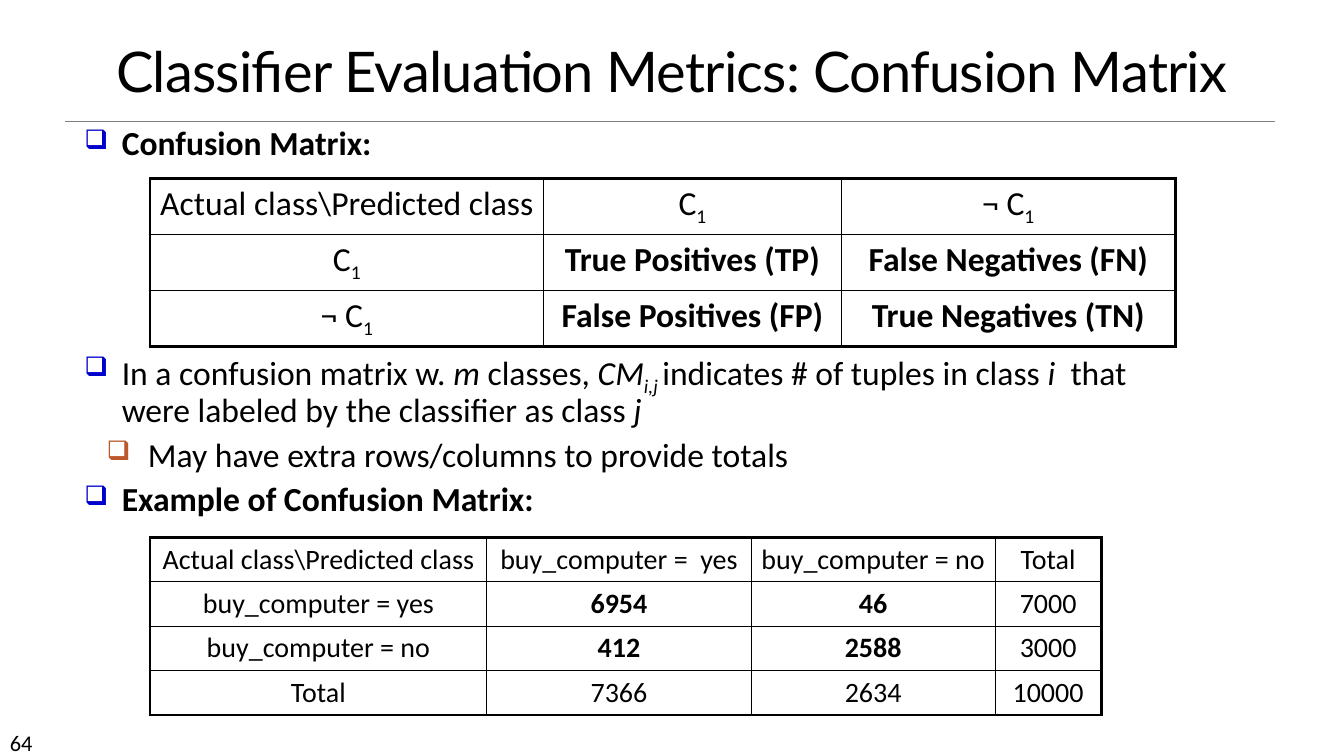
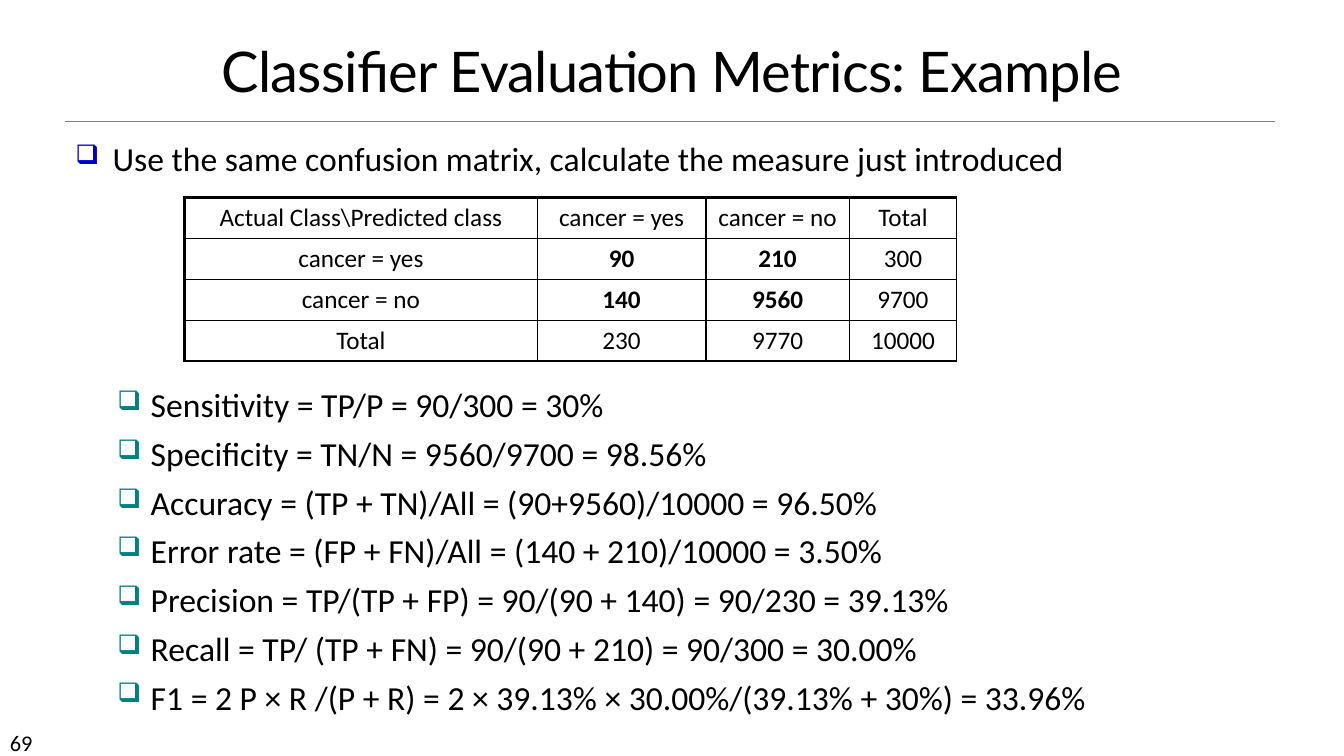
from lxml.etree import SubElement
from pptx import Presentation
from pptx.dml.color import RGBColor
from pptx.enum.shapes import MSO_CONNECTOR
from pptx.enum.text import MSO_ANCHOR, MSO_AUTO_SIZE, PP_ALIGN
from pptx.oxml import parse_xml
from pptx.oxml.ns import nsdecls, qn
from pptx.util import Cm, Pt

COLORS = {"text": "000000", "rule": "808080", "main": "0000CC", "detail": "BD582C", "measure": "008080"}
BODY_FONT = "Calibri"
TITLE_FONT = "Lato"
LEVELS = {"main": (0.94, 0.94), "detail": (1.6, 1.04), "measure": (1.9, 0.84)}
THICK, THIN = 2.25, 1


def add_runs(paragraph, content, size, font_name=BODY_FONT):
    runs = [(content, "")] if isinstance(content, str) else content
    for text, style in runs:
        run = paragraph.add_run()
        run.text = text
        run.font.name = font_name
        run.font.size = Pt(size)
        run.font.bold = "bold" in style
        run.font.italic = "italic" in style
        run.font.color.rgb = RGBColor.from_string(COLORS["text"])
        if "sub" in style:
            run._r.get_or_add_rPr().set("baseline", "-25000")


def set_borders(cell, widths):
    properties = cell._tc.get_or_add_tcPr()
    for position, (side, width) in enumerate(zip("LRTB", widths)):
        properties.insert(position, parse_xml(
            f'<a:ln{side} {nsdecls("a")} w="{Pt(width)}"><a:solidFill>'
            f'<a:srgbClr val="{COLORS["text"]}"/></a:solidFill></a:ln{side}>'))


c1 = [("C", ""), ("1", "sub")]
not_c1 = [("¬ C", ""), ("1", "sub")]

slides = [
    {
        "title": "Classifier Evaluation Metrics: Confusion Matrix",
        "number": "64",
        "body_box": (1.88, 3.07, 26.85, 11.81),
        "line_spacing": 0.9,
        "points": [
            ("main", 0, [("Confusion Matrix:", "bold")]),
            ("main", 135, [
                ("In a confusion matrix w. ", ""), ("m", "italic"), (" classes, ", ""),
                ("CM", "italic"), ("i,j ", "italic sub"),
                ("indicates # of tuples in class ", ""), ("i", "italic"),
                ("  that were labeled by the classifier as class ", ""), ("j", "italic")]),
            ("detail", 6, "May have extra rows/columns to provide totals"),
            ("main", 6, [("Example of Confusion Matrix:", "bold")]),
        ],
        "tables": [
            {
                "at": (3.78, 4.5), "columns": (9.92, 7.5, 8.42), "row_height": 1.41,
                "size": 24, "right_edge": THICK,
                "rows": [
                    ["Actual class\\Predicted class", c1, not_c1],
                    [c1, [("True Positives (TP)", "bold")], [("False Negatives (FN)", "bold")]],
                    [not_c1, [("False Positives (FP)", "bold")], [("True Negatives (TN)", "bold")]],
                ],
            },
            {
                "at": (3.78, 13.54), "columns": (8.49, 6.66, 6.15, 2.67), "row_height": 1.12,
                "size": 20, "right_edge": THICK,
                "rows": [
                    ["Actual class\\Predicted class", "buy_computer =  yes", "buy_computer = no", "Total"],
                    ["buy_computer = yes", [("6954", "bold")], [("46", "bold")], "7000"],
                    ["buy_computer = no", [("412", "bold")], [("2588", "bold")], "3000"],
                    ["Total", "7366", "2634", "10000"],
                ],
            },
        ],
    },
    {
        "title": "Classifier Evaluation Metrics: Example",
        "number": "69",
        "body_box": (1.65, 3.35, 26.85, 14.76),
        "line_spacing": 1.0,
        "points": [
            ("main", 0, "Use the same confusion matrix, calculate the measure just introduced"),
            ("measure", 147, "Sensitivity = TP/P = 90/300 = 30%"),
            ("measure", 6, "Specificity = TN/N = 9560/9700 = 98.56%"),
            ("measure", 6, "Accuracy = (TP + TN)/All = (90+9560)/10000 = 96.50%"),
            ("measure", 6, "Error rate = (FP + FN)/All = (140 + 210)/10000 = 3.50%"),
            ("measure", 6, "Precision = TP/(TP + FP) = 90/(90 + 140) = 90/230 = 39.13%"),
            ("measure", 6, "Recall = TP/ (TP + FN) = 90/(90 + 210) = 90/300 = 30.00%"),
            ("measure", 6, "F1 = 2 P × R /(P + R) = 2 × 39.13% × 30.00%/(39.13% + 30%) = 33.96%"),
        ],
        "tables": [
            {
                "at": (4.65, 4.98), "columns": (8.89, 4.25, 3.61, 2.71), "row_height": 1.03,
                "size": 18, "right_edge": THIN,
                "rows": [
                    ["Actual Class\\Predicted class", "cancer = yes", "cancer = no", "Total"],
                    ["cancer = yes", [("90", "bold")], [("210", "bold")], "300"],
                    ["cancer = no", [("140", "bold")], [("9560", "bold")], "9700"],
                    ["Total", "230", "9770", "10000"],
                ],
            },
        ],
    },
]

presentation = Presentation()
presentation.slide_width = Cm(33.87)
presentation.slide_height = Cm(19.05)
title_only = presentation.slide_layouts[5]

for content in slides:
    slide = presentation.slides.add_slide(title_only)

    rule = slide.shapes.add_connector(MSO_CONNECTOR.STRAIGHT, Cm(1.65), Cm(3.06), Cm(32.13), Cm(3.06))
    rule.line.color.rgb = RGBColor.from_string(COLORS["rule"])
    rule.line.width = Pt(0.5)
    SubElement(rule._element.spPr, qn("a:effectLst"))

    page_number = slide.shapes.add_textbox(Cm(0), Cm(18.24), Cm(2.97), Cm(0.76)).text_frame
    page_number.word_wrap = True
    add_runs(page_number.paragraphs[0], content["number"], 16)

    title = slide.shapes.title
    title.left, title.top, title.width, title.height = Cm(0), Cm(0.64), Cm(33.87), Cm(2.1)
    title.text_frame.vertical_anchor = MSO_ANCHOR.BOTTOM
    title.text_frame.auto_size = MSO_AUTO_SIZE.NONE
    heading = title.text_frame.paragraphs[0]
    heading.alignment = PP_ALIGN.CENTER
    heading.line_spacing = 0.85
    add_runs(heading, content["title"], 40, TITLE_FONT)
    heading.runs[0]._r.get_or_add_rPr().set("spc", "-50")

    body = slide.shapes.add_textbox(*map(Cm, content["body_box"])).text_frame
    body.word_wrap = True
    for index, (level, space_before, text) in enumerate(content["points"]):
        point = body.add_paragraph() if index else body.paragraphs[0]
        margin, hanging = LEVELS[level]
        properties = point._p.get_or_add_pPr()
        properties.set("marL", str(Cm(margin)))
        properties.set("indent", str(-Cm(hanging)))
        bullet_color = SubElement(properties, qn("a:buClr"))
        SubElement(bullet_color, qn("a:srgbClr"), val=COLORS[level])
        SubElement(properties, qn("a:buSzPct"), val="80000")
        SubElement(properties, qn("a:buChar"), char="❑")
        point.line_spacing = content["line_spacing"]
        point.space_before = Pt(space_before)
        add_runs(point, text, 24)

    for matrix in content["tables"]:
        rows, columns = matrix["rows"], matrix["columns"]
        last_row, last_column = len(rows) - 1, len(columns) - 1
        left, top = matrix["at"]
        table = slide.shapes.add_table(
            len(rows), len(columns), Cm(left), Cm(top),
            Cm(sum(columns)), Cm(matrix["row_height"] * len(rows))).table
        table.first_row = False
        table.horz_banding = False
        for column, width in zip(table.columns, columns):
            column.width = Cm(width)
        for r, row in enumerate(rows):
            table.rows[r].height = Cm(matrix["row_height"])
            for c, entry in enumerate(row):
                cell = table.cell(r, c)
                cell.fill.background()
                set_borders(cell, (
                    THICK if c == 0 else THIN,
                    matrix["right_edge"] if c == last_column else THIN,
                    THICK if r == 0 else THIN,
                    THICK if r == last_row else THIN))
                paragraph = cell.text_frame.paragraphs[0]
                paragraph.alignment = PP_ALIGN.CENTER
                add_runs(paragraph, entry, matrix["size"])

presentation.save("out.pptx")
